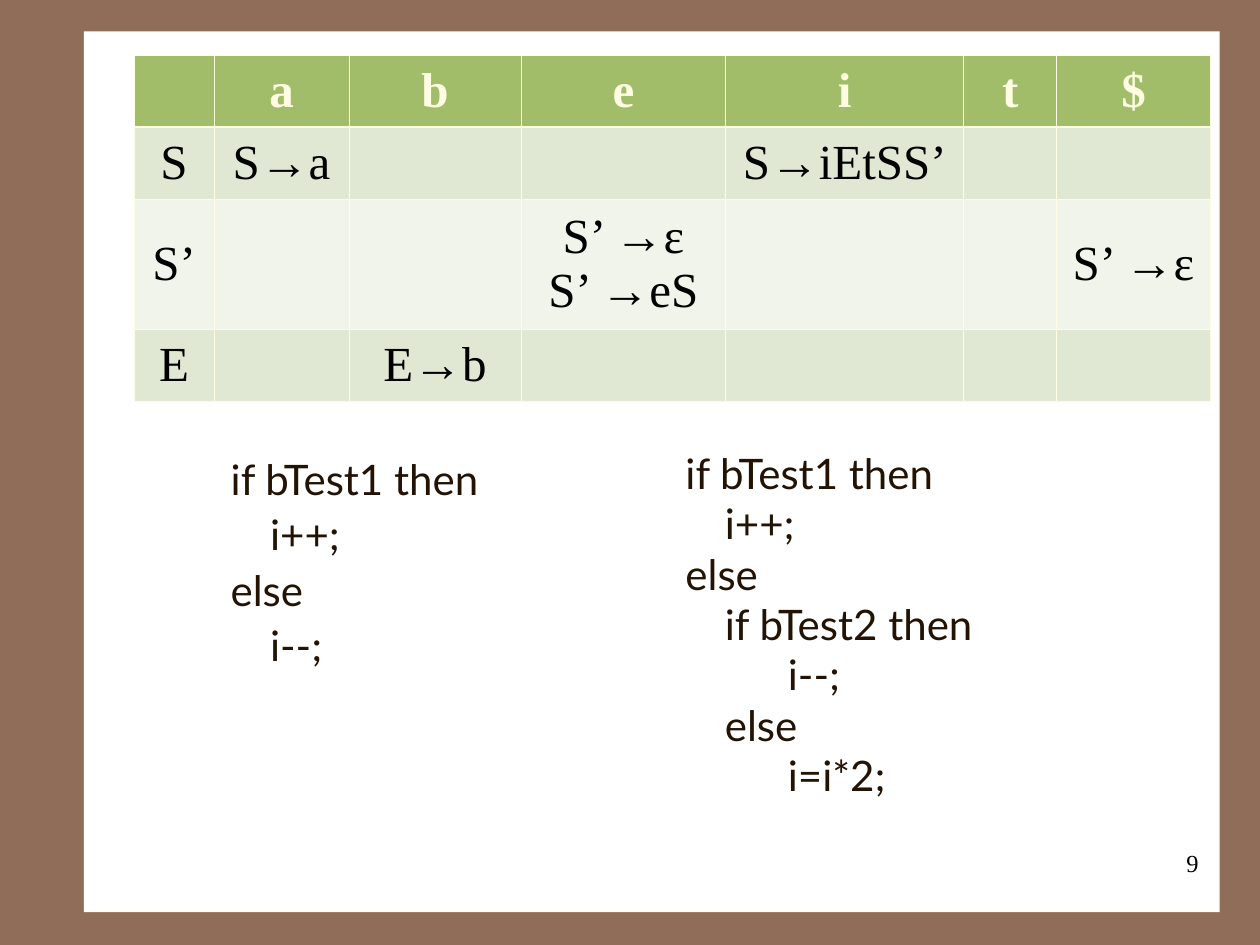
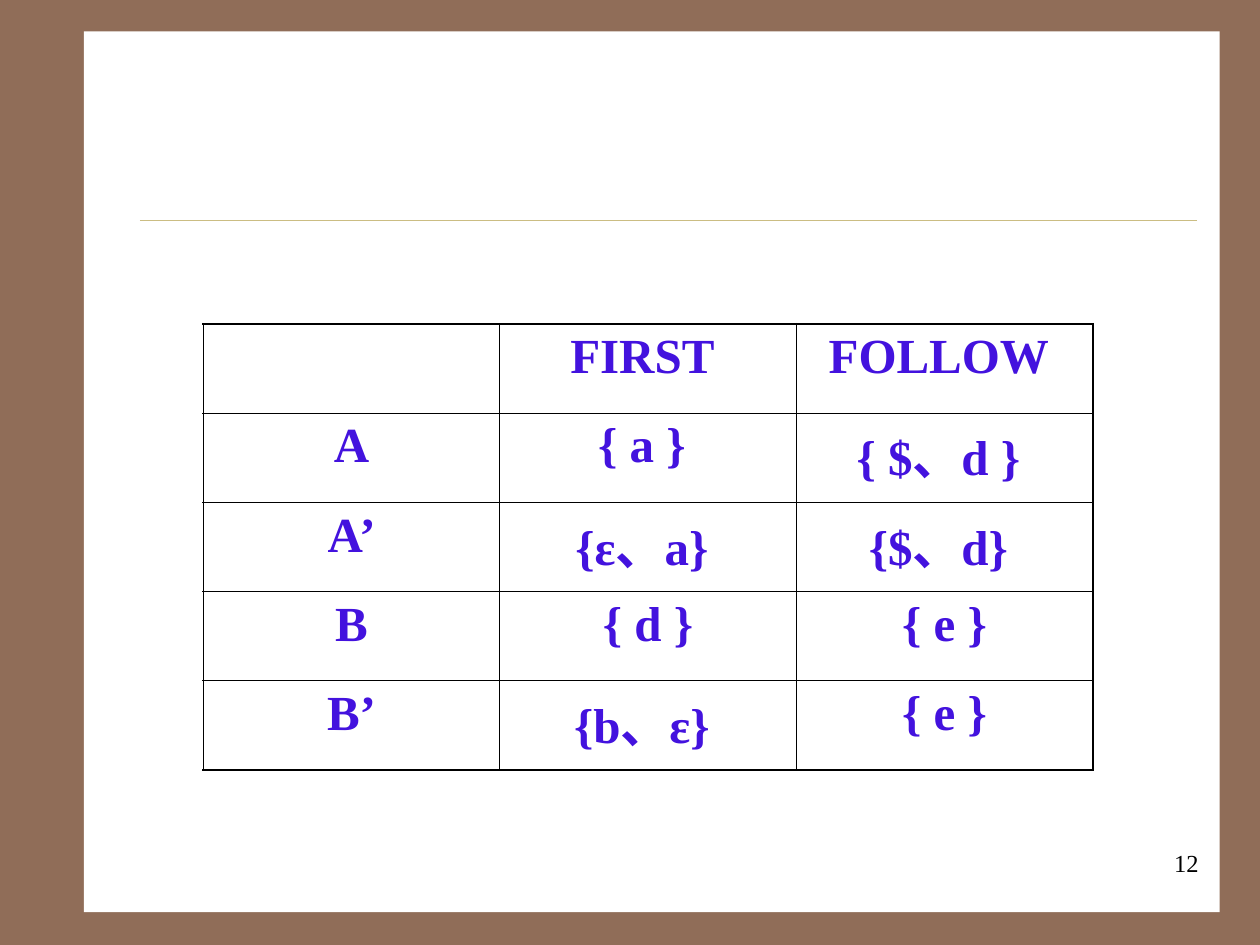
from lxml import etree
from pptx import Presentation
from pptx.dml.color import RGBColor
from pptx.enum.shapes import MSO_CONNECTOR, MSO_SHAPE
from pptx.enum.text import MSO_ANCHOR, MSO_AUTO_SIZE, PP_ALIGN
from pptx.oxml.ns import qn
from pptx.util import Pt

BROWN = RGBColor(0x90, 0x6D, 0x58)
WHITE = RGBColor(0xFF, 0xFF, 0xFF)
SAND = RGBColor(0xCB, 0xBD, 0x83)
CREAM = RGBColor(0xFE, 0xFD, 0xE3)
GREEN = RGBColor(0xA1, 0xBD, 0x69)
LIGHT_GREEN = RGBColor(0xE0, 0xE8, 0xD4)
PALE_GREEN = RGBColor(0xF0, 0xF4, 0xEB)
BLACK = RGBColor(0x00, 0x00, 0x00)
INK = RGBColor(0x22, 0x13, 0x04)
VIOLET = RGBColor(0x43, 0x12, 0xDE)
SERIF, SANS = "Times New Roman", "Lato"

# Content
PARSE_TABLE = [
    ["", "a", "b", "e", "i", "t", "$"],
    ["S", "S→a", "", "", "S→iEtSS’", "", ""],
    ["S’", "", "", "S’ →ε\nS’ →eS", "", "", "S’ →ε"],
    ["E", "", "E→b", "", "", "", ""],
]
PARSE_COLUMNS = [45.8, 77, 98.4, 117, 136, 53.2, 87.6]
PARSE_ROWS = [41, 41, 74.2, 41]

SIMPLE_IF = ["if bTest1 then", "\ti++;", "else", "\ti--;"]
NESTED_IF = ["if bTest1 then", "\ti++;", "else", "\tif bTest2 then",
             "\t\ti--;", "\telse", "\t\ti=i*2;"]
# Lines, left, top, line spacing
CODE_BLOCKS = [(SIMPLE_IF, 88.6, 252.7, 1.1), (NESTED_IF, 348.5, 252, 1.0)]

FIRST_FOLLOW = [
    ["", "FIRST ", "FOLLOW "],
    ["A", "{ a } ", "{ $、d } "],
    ["A’", "{ε、a} ", "{$、d} "],
    ["B", "{ d }", "{ e }"],
    ["B’", "{b、ε} ", " { e } "],
]


def format_runs(paragraph, font_name, size, color, bold=False):
    for run in paragraph.runs:
        font = run.font
        font.name, font.size, font.bold = font_name, Pt(size), bold
        font.color.rgb = color


def style_master(presentation, slide):
    """Give the master its brown border and white panel."""
    master = presentation.slide_master
    master.background.fill.solid()
    master.background.fill.fore_color.rgb = BROWN
    panel = slide.shapes.add_shape(MSO_SHAPE.RECTANGLE, Pt(48), Pt(18), Pt(649), Pt(503.2))
    panel.shadow.inherit = False
    panel.fill.solid()
    panel.fill.fore_color.rgb = WHITE
    panel.line.fill.background()
    master.shapes.element.insert(2, panel.element)


def add_page_number(slide, number):
    box = slide.shapes.add_textbox(Pt(542.2), Pt(481), Pt(149.8), Pt(36))
    box.text_frame.word_wrap = True
    box.text_frame.text = number
    paragraph = box.text_frame.paragraphs[0]
    paragraph.alignment = PP_ALIGN.RIGHT
    format_runs(paragraph, SERIF, 14, BLACK)


def add_divider(slide):
    line = slide.shapes.add_connector(MSO_CONNECTOR.STRAIGHT, Pt(80), Pt(126), Pt(684), Pt(126))
    line.line.color.rgb = SAND
    line.line.width = Pt(0.25)
    etree.SubElement(line.element.spPr, qn("a:effectLst"))


def set_borders(cell, color, weights):
    """Draw left, right, top and bottom borders with the given weights."""
    properties = cell._tc.get_or_add_tcPr()
    for index, (side, weight) in enumerate(zip("LRTB", weights)):
        border = etree.Element(qn(f"a:ln{side}"), w=str(Pt(weight)))
        fill = etree.SubElement(border, qn("a:solidFill"))
        etree.SubElement(fill, qn("a:srgbClr"), val=str(color))
        properties.insert(index, border)


def add_grid(slide, left, top, content, widths, heights, row_styles,
             border_color, vertical_weights, horizontal_weights, anchor):
    """Add a table; each row style is (fill or None, text colour, bold)."""
    frame = slide.shapes.add_table(len(heights), len(widths), Pt(left), Pt(top),
                                   Pt(sum(widths)), Pt(sum(heights)))
    table = frame.table
    table.first_row = table.horz_banding = False
    for column, width in zip(table.columns, widths):
        column.width = Pt(width)
    for r, (texts, height, style) in enumerate(zip(content, heights, row_styles)):
        fill_color, text_color, bold = style
        table.rows[r].height = Pt(height)
        for c, text in enumerate(texts):
            cell = table.cell(r, c)
            cell.vertical_anchor = anchor
            if fill_color is None:
                cell.fill.background()
            else:
                cell.fill.solid()
                cell.fill.fore_color.rgb = fill_color
            set_borders(cell, border_color,
                        vertical_weights[c:c + 2] + horizontal_weights[r:r + 2])
            cell.text_frame.text = text
            for paragraph in cell.text_frame.paragraphs:
                paragraph.alignment = PP_ALIGN.CENTER
                format_runs(paragraph, SERIF, 28, text_color, bold)


def fill_code(placeholder, lines, left, top, spacing):
    placeholder.left, placeholder.top = Pt(left), Pt(top)
    placeholder.width, placeholder.height = Pt(220), Pt(255)
    text_frame = placeholder.text_frame
    text_frame.auto_size = MSO_AUTO_SIZE.NONE
    text_frame.word_wrap = True
    text_frame.text = "\n".join(lines)
    for paragraph in text_frame.paragraphs:
        properties = paragraph._p.get_or_add_pPr()
        properties.set("marL", str(Pt(58.5)))
        properties.set("indent", str(Pt(-22.5)))
        etree.SubElement(properties, qn("a:buNone"))
        tabs = etree.SubElement(properties, qn("a:tabLst"))
        for inch in range(8):
            etree.SubElement(tabs, qn("a:tab"), pos=str(Pt(72 * inch)), algn="l")
        paragraph.line_spacing = spacing
        paragraph.space_before = Pt(0)
        format_runs(paragraph, SANS, 24, INK)


def build_parse_slide(presentation):
    slide = presentation.slides.add_slide(presentation.slide_layouts[3])
    style_master(presentation, slide)
    title, *bodies = slide.placeholders
    title.element.getparent().remove(title.element)
    add_page_number(slide, "9")
    light, pale = (LIGHT_GREEN, BLACK, False), (PALE_GREEN, BLACK, False)
    add_grid(slide, 76.6, 31.7, PARSE_TABLE, PARSE_COLUMNS, PARSE_ROWS,
             [(GREEN, CREAM, True), light, pale, light], CREAM,
             [0.45] * 8, [0.45, 1.47] + [0.45] * 3, MSO_ANCHOR.MIDDLE)
    for body, block in zip(bodies, CODE_BLOCKS):
        fill_code(body, *block)


def build_first_follow_slide(presentation):
    slide = presentation.slides.add_slide(presentation.slide_layouts[6])
    add_divider(slide)
    add_page_number(slide, "12")
    add_grid(slide, 116.2, 185, FIRST_FOLLOW, [169.4] * 3, [51] * 5,
             [(None, VIOLET, True)] * 5, BLACK,
             [1.08, 0.45, 0.45, 1.08], [1.08] + [0.45] * 4 + [1.08], MSO_ANCHOR.TOP)


def main():
    presentation = Presentation()
    presentation.slide_width, presentation.slide_height = Pt(720), Pt(540)
    build_parse_slide(presentation)
    build_first_follow_slide(presentation)
    presentation.save("out.pptx")


if __name__ == "__main__":
    main()
